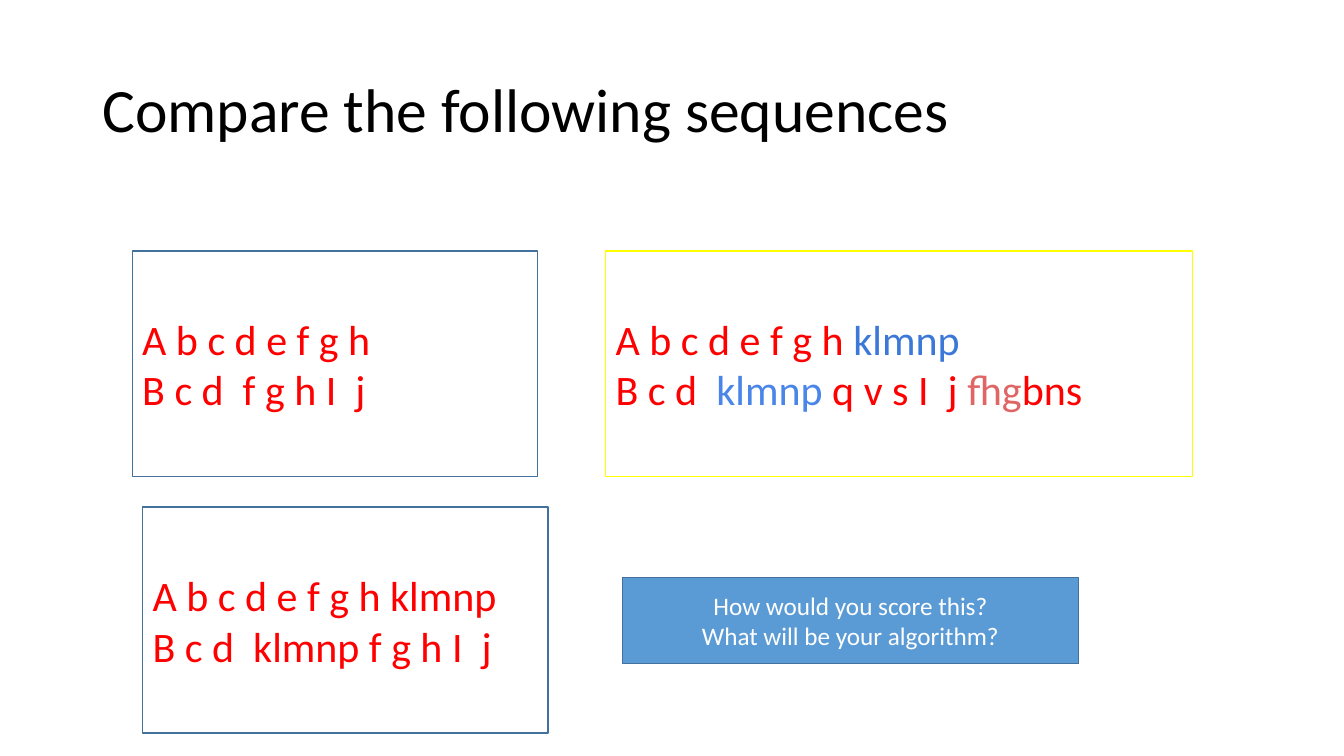
from pptx import Presentation
from pptx.dml.color import RGBColor
from pptx.enum.shapes import MSO_SHAPE
from pptx.enum.text import MSO_ANCHOR, PP_ALIGN
from pptx.util import Pt

PX = 9525
RECT = MSO_SHAPE.RECTANGLE
MIDDLE = MSO_ANCHOR.MIDDLE
LEFT, CENTER = PP_ALIGN.LEFT, PP_ALIGN.CENTER

FONT = "Calibri"
BLACK = RGBColor(0x00, 0x00, 0x00)
WHITE = RGBColor(0xFF, 0xFF, 0xFF)
RED = RGBColor(0xFF, 0x00, 0x00)
ROSE = RGBColor(0xE0, 0x66, 0x66)
BLUE = RGBColor(0x3C, 0x78, 0xD8)
SKY = RGBColor(0x4A, 0x86, 0xE8)
STEEL = RGBColor(0x5B, 0x9B, 0xD5)
NAVY = RGBColor(0x41, 0x71, 0x9C)
YELLOW = RGBColor(0xFF, 0xFF, 0x00)

BOX_W, BOX_H = 386, 215


def scale(*sizes):
    return [size * PX for size in sizes]


def write(shape, lines, size, align=LEFT):
    """Fill a shape with lines, each a list of (text, colour) runs."""
    frame = shape.text_frame
    frame.word_wrap = True
    frame.vertical_anchor = MIDDLE
    for i, line in enumerate(lines):
        para = frame.add_paragraph() if i else frame.paragraphs[0]
        para.alignment = align
        for text, color in line:
            run = para.add_run()
            run.text = text
            run.font.name = FONT
            run.font.size = Pt(size)
            run.font.color.rgb = color


def add_title(slide, text):
    box = slide.shapes.add_textbox(*scale(88, 38, 1104, 139))
    write(box, [[(text, BLACK)]], 44)
    box.text_frame.paragraphs[0].line_spacing = 0.9


def add_box(slide, area, lines, size=30, fill=WHITE, edge=NAVY, align=LEFT):
    box = slide.shapes.add_shape(RECT, *scale(*area))
    box.shadow.inherit = False
    box.fill.solid()
    box.fill.fore_color.rgb = fill
    box.line.color.rgb = edge
    box.line.width = Pt(1)
    write(box, lines, size, align)


def main():
    deck = Presentation()
    deck.slide_width, deck.slide_height = scale(1280, 720)
    slide = deck.slides.add_slide(deck.slide_layouts[6])

    add_title(slide, "Compare the following sequences")
    add_box(slide, (126, 239, BOX_W, BOX_H),
            [[("A b c d e f g h", RED)],
             [("B c d  f g h I  j", RED)]])
    add_box(slide, (577, 239, 559, BOX_H),
            [[("A b c d e f g h ", RED), ("klmnp", BLUE)],
             [("B c d  ", RED), ("klmnp", SKY), (" q v s I  j ", RED),
              ("fhg", ROSE), ("bns", RED)]],
            edge=YELLOW)
    add_box(slide, (136, 483, BOX_W, BOX_H),
            [[("A b c d e f g h klmnp", RED)],
             [("B c d  klmnp f g h I  j", RED)]])
    add_box(slide, (593, 550, 434, 82),
            [[("How would you score this?", WHITE)],
             [("What will be your algorithm?", WHITE)]],
            size=18, fill=STEEL, align=CENTER)

    deck.save("out.pptx")


if __name__ == "__main__":
    main()
